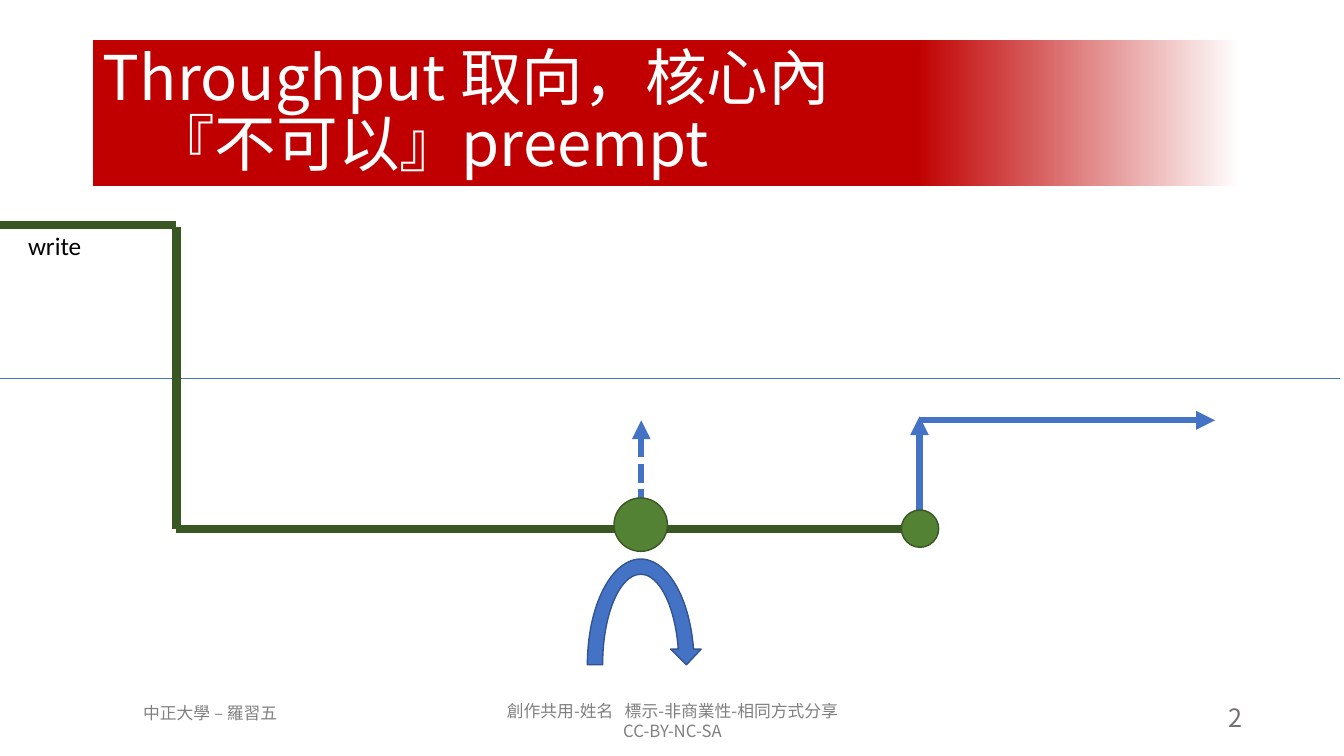
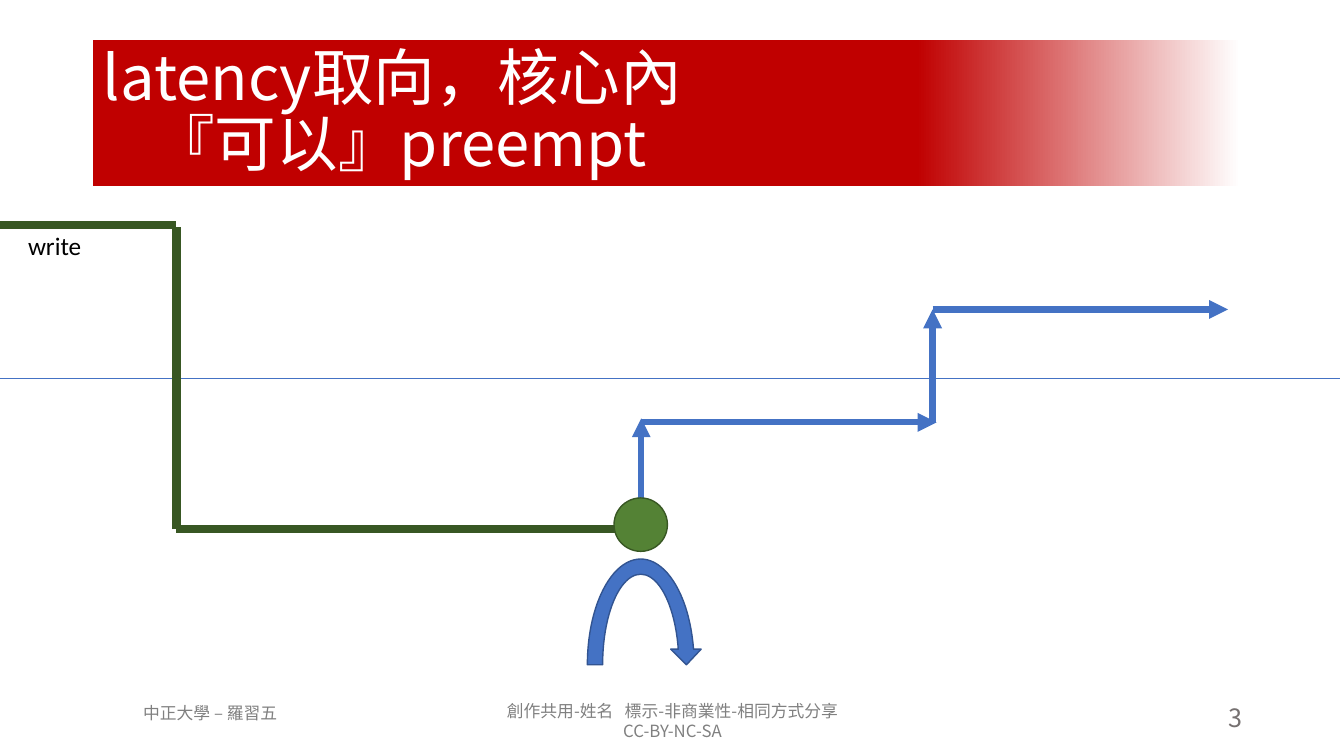
from lxml import etree
from pptx import Presentation, util as u
from pptx.dml.color import RGBColor
from pptx.enum import dml, shapes, text
from pptx.oxml import ns

RED, WHITE, BLACK = "C00000", "FFFFFF", "000000"
BLUE, BLUE_EDGE = "4472C4", "325491"
GREEN, GREEN_EDGE = "548235", "385723"
FOOTER_GREY, NUMBER_GREY = "808080", "767171"
CJK, LATIN = "Noto Sans CJK SC", "Calibri"
TITLE_ONLY = 5

# Positions shared by both timelines
EDGE_LEFT, EDGE_RIGHT = -0.04, 13.29
CALL_X, PREEMPT_X = 1.75, 6.36
USER_Y, BORDER_Y, KERNEL_Y = 2.23, 3.75, 5.25


def rgb(value):
    return RGBColor.from_string(value)


def write_text(frame, content, size=18, color=BLACK, font=CJK,
               align=text.PP_ALIGN.LEFT, spacing=None):
    """Fill a text frame, one paragraph per item of content."""
    for index, line in enumerate(content):
        paragraph = frame.paragraphs[0] if index == 0 else frame.add_paragraph()
        paragraph.text = line
        paragraph.alignment = align
        if spacing:
            paragraph.line_spacing = spacing
        for run in paragraph.runs:
            run.font.size = u.Pt(size)
            run.font.name = font
            run.font.color.rgb = rgb(color)
            latin = run.font._element.find(ns.qn("a:latin"))
            east_asian = etree.Element(ns.qn("a:ea"), typeface=font)
            latin.addnext(east_asian)


def add_text_shadow(run):
    effects = etree.Element(ns.qn("a:effectLst"))
    shadow = etree.SubElement(effects, ns.qn("a:outerShdw"), blurRad="38100",
                              dist="38100", dir="2700000", algn="tl")
    etree.SubElement(shadow, ns.qn("a:srgbClr"), val=BLACK)
    run.font._element.find(ns.qn("a:latin")).addprevious(effects)


class Deck:
    """Holds the presentation, its style and the current slide."""

    def __init__(self):
        self.presentation = Presentation()
        self.presentation.slide_width = u.Inches(13.33)
        self.presentation.slide_height = u.Inches(7.5)
        self.slide = None

    def new_slide(self, title, number):
        layout = self.presentation.slide_layouts[TITLE_ONLY]
        self.slide = self.presentation.slides.add_slide(layout)
        self.title(title)
        self.footers(number)

    def title(self, content):
        shape = self.slide.shapes.title
        shape.left, shape.top = u.Inches(0.92), u.Inches(0.4)
        shape.width, shape.height = u.Inches(11.5), u.Inches(1.45)
        # Red band fading to white on the right
        shape.fill.gradient()
        shape.fill.gradient_angle = 0
        for stop, color, position in zip(shape.fill.gradient_stops,
                                         (RED, WHITE), (0.71, 0.99)):
            stop.color.rgb = rgb(color)
            stop.position = position
        frame = shape.text_frame
        frame.word_wrap = True
        frame.auto_size = text.MSO_AUTO_SIZE.NONE
        frame.vertical_anchor = text.MSO_ANCHOR.MIDDLE
        write_text(frame, [content], size=44, color=WHITE, spacing=0.9)
        for run in frame.paragraphs[0].runs:
            add_text_shadow(run)

    def label(self, content, left, top, width, height, wrap=True, **style):
        box = self.slide.shapes.add_textbox(*map(u.Inches, (left, top, width, height)))
        box.text_frame.word_wrap = wrap
        write_text(box.text_frame, content, **style)

    def footers(self, number):
        note = dict(size=12, color=FOOTER_GREY, align=text.PP_ALIGN.CENTER)
        self.label(["創作共用-姓名   標示-非商業性-相同方式分享", "CC-BY-NC-SA"],
                   4.21, 6.9, 4.92, 0.5, **note)
        self.label(["中正大學 – 羅習五"], 0.83, 6.92, 2.51, 0.3, **note)
        self.label([str(number)], 10.3, 6.92, 2.12, 0.4,
                   color=NUMBER_GREY, align=text.PP_ALIGN.RIGHT)

    def line(self, start, end, color=GREEN_EDGE, width=6, arrow=False, dashed=False):
        connector = self.slide.shapes.add_connector(
            shapes.MSO_CONNECTOR.STRAIGHT, *map(u.Inches, (*start, *end)))
        connector.line.color.rgb = rgb(color)
        connector.line.width = u.Pt(width)
        if dashed:
            connector.line.dash_style = dml.MSO_LINE.SQUARE_DOT
        properties = connector._element.spPr
        if arrow:
            outline = properties.find(ns.qn("a:ln"))
            etree.SubElement(outline, ns.qn("a:tailEnd"), type="triangle")
        etree.SubElement(properties, ns.qn("a:effectLst"))

    def arrow(self, start, end, dashed=False):
        self.line(start, end, BLUE, 4.5, arrow=True, dashed=dashed)

    def shape(self, kind, left, top, width, height, fill, edge):
        shape = self.slide.shapes.add_shape(
            kind, *map(u.Inches, (left, top, width, height)))
        shape.shadow.inherit = False
        shape.fill.solid()
        shape.fill.fore_color.rgb = rgb(fill)
        shape.line.color.rgb = rgb(edge)
        shape.line.width = u.Pt(1)

    def dot(self, left, top, size):
        self.shape(shapes.MSO_SHAPE.OVAL, left, top, size, size, GREEN, GREEN_EDGE)

    def system_call(self):
        """User/kernel border, the write call and the interrupt arrow."""
        self.line((EDGE_LEFT, BORDER_Y), (EDGE_RIGHT, BORDER_Y), BLUE, 0.5)
        self.line((EDGE_LEFT, USER_Y), (CALL_X, USER_Y))
        self.line((CALL_X, KERNEL_Y), (CALL_X, 2.25))
        self.line((CALL_X, KERNEL_Y), (PREEMPT_X, KERNEL_Y))
        self.shape(shapes.MSO_SHAPE.CIRCULAR_ARROW, 5.75, 5.47, 1.21, 2.25,
                   BLUE, BLUE_EDGE)
        self.label(["write"], 0.18, 2.24, 0.73, 0.4, wrap=False, font=LATIN)

    def preempt_dot(self):
        self.dot(6.09, 4.94, 0.53)


def main():
    deck = Deck()

    # Throughput: the kernel runs on to the end before switching
    deck.new_slide("Throughput 取向，核心內\n\t『不可以』preempt", 2)
    deck.system_call()
    deck.line((PREEMPT_X, KERNEL_Y), (9.22, KERNEL_Y))
    deck.arrow((9.12, KERNEL_Y), (9.12, 4.13))
    deck.arrow((9.12, 4.17), (12.05, 4.17))
    deck.dot(8.94, 5.06, 0.37)
    deck.arrow((PREEMPT_X, 5.29), (PREEMPT_X, 4.17), dashed=True)
    deck.preempt_dot()

    # Latency: the kernel switches at once
    deck.new_slide("latency取向，核心內\n\t『可以』preempt", 3)
    deck.system_call()
    deck.arrow((PREEMPT_X, 5.26), (PREEMPT_X, 4.15))
    deck.arrow((PREEMPT_X, 4.19), (9.29, 4.19))
    deck.preempt_dot()
    deck.arrow((9.25, 4.19), (9.25, 3.07))
    deck.arrow((9.25, 3.07), (12.18, 3.07))

    deck.presentation.save("out.pptx")


if __name__ == "__main__":
    main()
